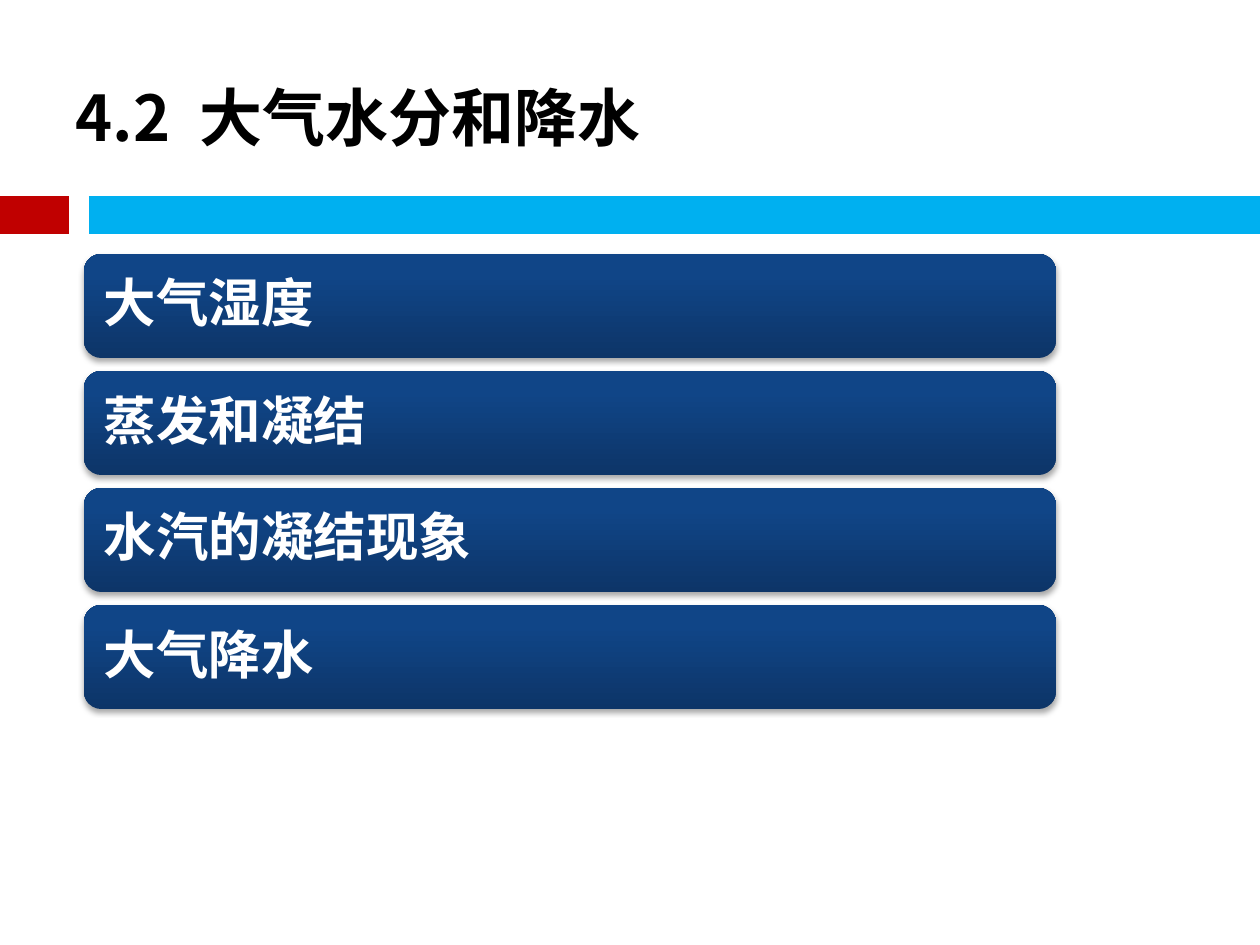
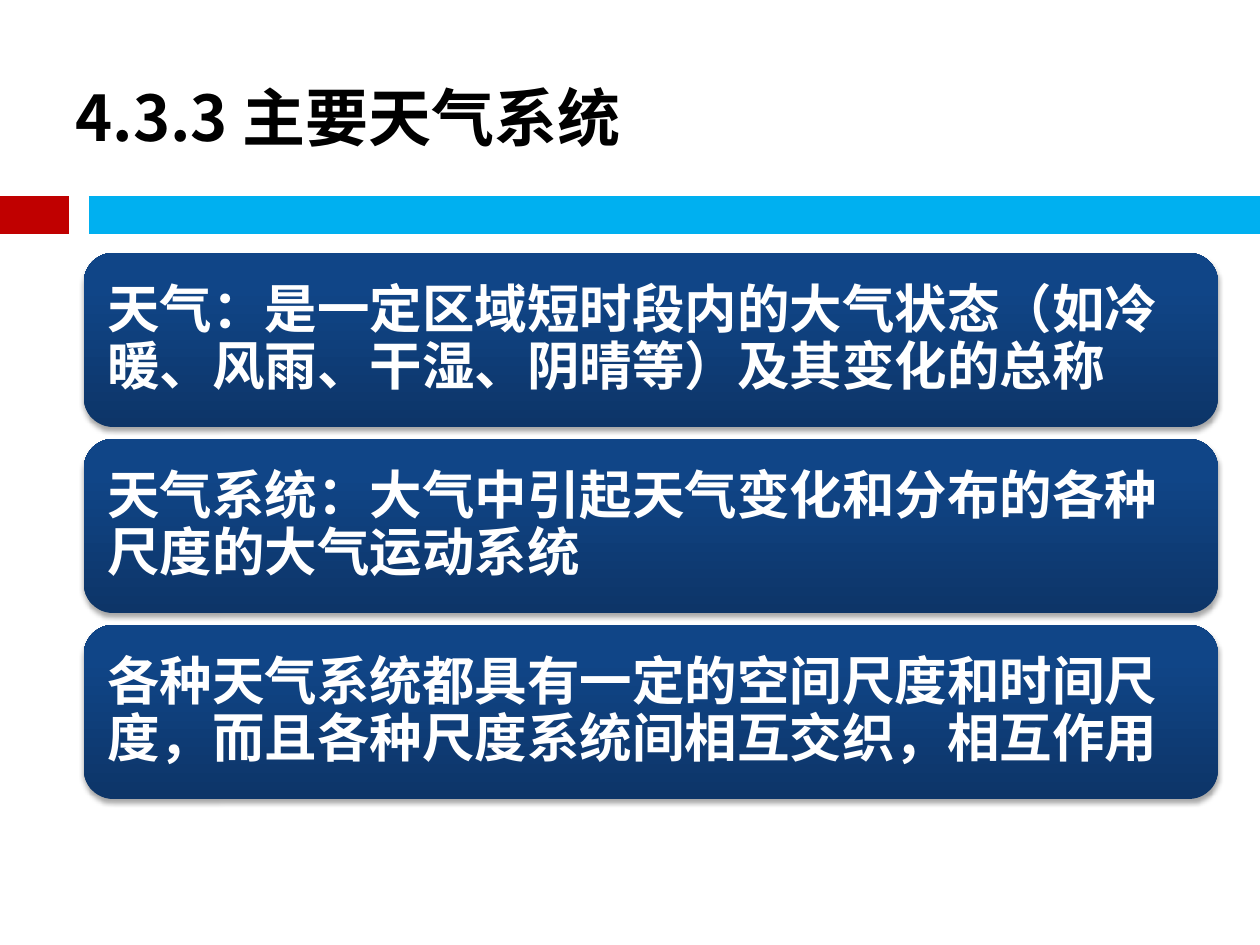
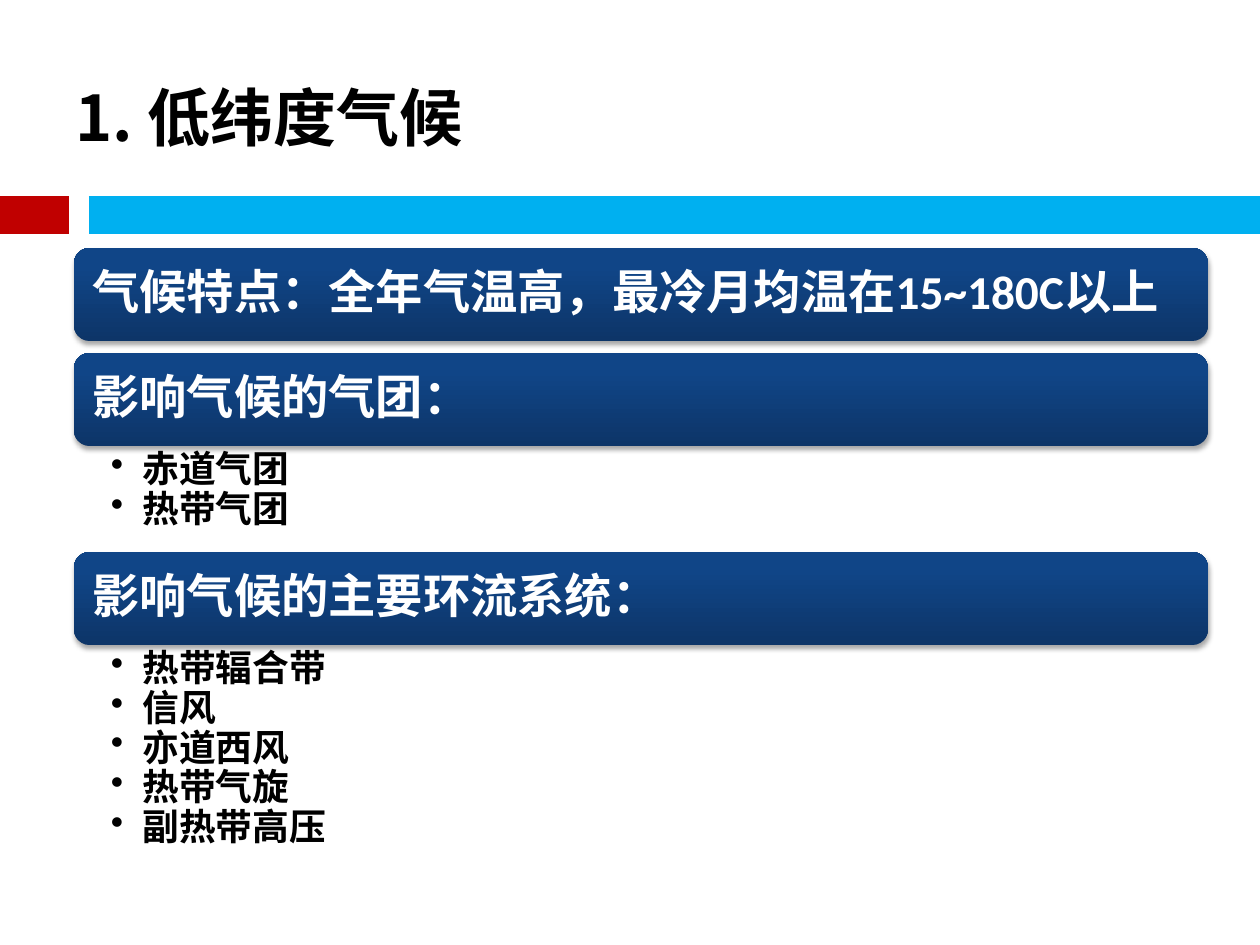
"""Build three slides on atmospheric water, weather systems and climate."""
from copy import deepcopy

from lxml.etree import SubElement
from pptx import Presentation
from pptx.dml.color import RGBColor
from pptx.enum.shapes import MSO_CONNECTOR, MSO_SHAPE
from pptx.enum.text import MSO_ANCHOR, MSO_AUTO_SIZE, PP_ALIGN
from pptx.oxml import parse_xml
from pptx.oxml.ns import nsdecls, qn
from pptx.util import Emu, Pt

RED = RGBColor(0xC0, 0x00, 0x00)
SKY = RGBColor(0x00, 0xB0, 0xF0)
BLACK = RGBColor(0x00, 0x00, 0x00)
WHITE = RGBColor(0xFF, 0xFF, 0xFF)
NAVY = RGBColor(0x0D, 0x35, 0x68)
BLUE = RGBColor(0x10, 0x45, 0x87)
ROYAL = RGBColor(0x0E, 0x45, 0x8A)
STOPS = [(0, NAVY), (0.8, BLUE), (1, ROYAL)]
LATIN, ASIAN = "Calibri", "Noto Sans CJK SC"
SHADOW = (
    f'<a:effectLst {nsdecls("a")}><a:outerShdw blurRad="39370" dist="22860" '
    f'dir="5400000" rotWithShape="0"><a:srgbClr val="{BLACK}">'
    '<a:alpha val="35000"/></a:srgbClr></a:outerShdw></a:effectLst>'
)

DECK = [
    {"title": "4.2  大气水分和降水", "left": 84, "top": 254, "width": 972,
     "height": 104, "gap": 13, "inset": 15, "size": 30,
     "bars": [("大气湿度", []), ("蒸发和凝结", []),
              ("水汽的凝结现象", []), ("大气降水", [])]},
    {"title": "4.3.3 主要天气系统", "left": 84, "top": 253, "width": 1134,
     "height": 174, "gap": 12, "inset": 15, "size": 30,
     "bars": [("天气：是一定区域短时段内的大气状态（如冷暖、风雨、干湿、阴晴等）及其变化的总称", []),
              ("天气系统：大气中引起天气变化和分布的各种尺度的大气运动系统", []),
              ("各种天气系统都具有一定的空间尺度和时间尺度，而且各种尺度系统间相互交织，相互作用", [])]},
    {"title": "1. 低纬度气候", "left": 74, "top": 248, "width": 1134,
     "height": 93, "gap": 12, "inset": 14, "size": 27,
     "bars": [("气候特点：全年气温高，最冷月均温在15~180C以上", []),
              ("影响气候的气团：", ["赤道气团", "热带气团"]),
              ("影响气候的主要环流系统：",
               ["热带辐合带", "信风", "亦道西风", "热带气旋", "副热带高压"])]},
]


def px(count):
    return Emu(round(count * 914400 / 126))


def write(para, text, size, color, latin=LATIN):
    run = para.add_run()
    run.text = text
    para.alignment = PP_ALIGN.LEFT
    look = {"size": Pt(size), "bold": True, "name": latin}
    for key, value in look.items():
        setattr(run.font, key, value)
    run.font.color.rgb = color
    SubElement(run.font._element, qn("a:ea"), typeface=ASIAN)


prs = Presentation()
prs.slide_width, prs.slide_height = px(1260), px(945)
layout = prs.slide_layouts[5]
slides = [prs.slides.add_slide(layout) for _ in DECK]

for start, end, color in [(0, 69, RED), (89, 1260, SKY)]:
    band = slides[0].shapes.add_connector(
        MSO_CONNECTOR.STRAIGHT, px(start), px(215), px(end), px(215))
    band.line.color.rgb = color
    band.line.width = Pt(22)
    SubElement(band.element.spPr, qn("a:effectLst"))
    layout.shapes.element.append(band.element)

for slide, page in zip(slides, DECK):
    title = slide.shapes.title
    place = {"left": 63, "top": 38, "width": 1134, "height": 157}
    for key, value in place.items():
        setattr(title, key, px(value))
    frame = title.text_frame
    frame.auto_size = MSO_AUTO_SIZE.NONE
    frame.vertical_anchor = MSO_ANCHOR.MIDDLE
    write(frame.paragraphs[0], page["title"], 36, BLACK, ASIAN)

    left, width, top = page["left"], page["width"], page["top"]
    for label, items in page["bars"]:
        bar = slide.shapes.add_shape(
            MSO_SHAPE.ROUNDED_RECTANGLE, px(left), px(top),
            px(width), px(page["height"]))
        bar.fill.gradient()
        bar.fill.gradient_angle = 90
        grades = bar.element.spPr.find(".//" + qn("a:gsLst"))
        grades.append(deepcopy(grades[0]))
        for stop, (spot, color) in zip(bar.fill.gradient_stops, STOPS):
            stop.position = spot
            stop.color.rgb = color
        bar.line.fill.background()
        bar.element.spPr.append(parse_xml(SHADOW))
        frame = bar.text_frame
        frame.word_wrap = True
        frame.vertical_anchor = MSO_ANCHOR.MIDDLE
        for side in ("left", "top", "right", "bottom"):
            setattr(frame, "margin_" + side, px(page["inset"]))
        para = frame.paragraphs[0]
        para.line_spacing = 0.9
        write(para, label, page["size"], WHITE)
        top += page["height"]

        if not items:
            top += page["gap"]
            continue
        depth = 47 * len(items) + 12
        box = slide.shapes.add_textbox(px(left), px(top), px(width), px(depth))
        frame = box.text_frame
        frame.word_wrap = True
        pads = {"left": 37, "top": 5, "right": 26, "bottom": 5}
        for side, pad in pads.items():
            setattr(frame, "margin_" + side, px(pad))
        for rank, item in enumerate(items):
            para = frame.add_paragraph() if rank else frame.paragraphs[0]
            para.level = 1
            props = para._p.get_or_add_pPr()
            props.set("marL", "228600")
            props.set("indent", "-228600")
            SubElement(props, qn("a:buChar"), char="•")
            para.line_spacing = 0.9
            write(para, item, 21, BLACK)
        top += depth

prs.save("out.pptx")
